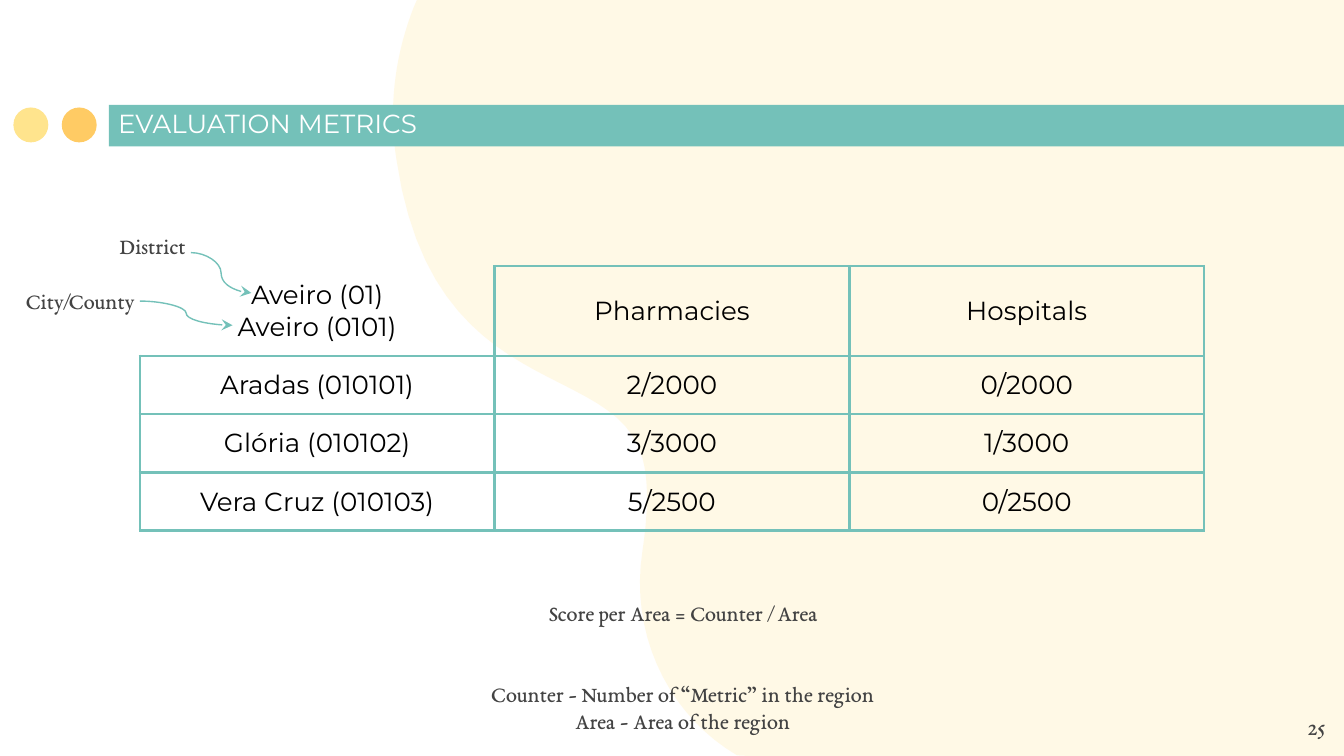
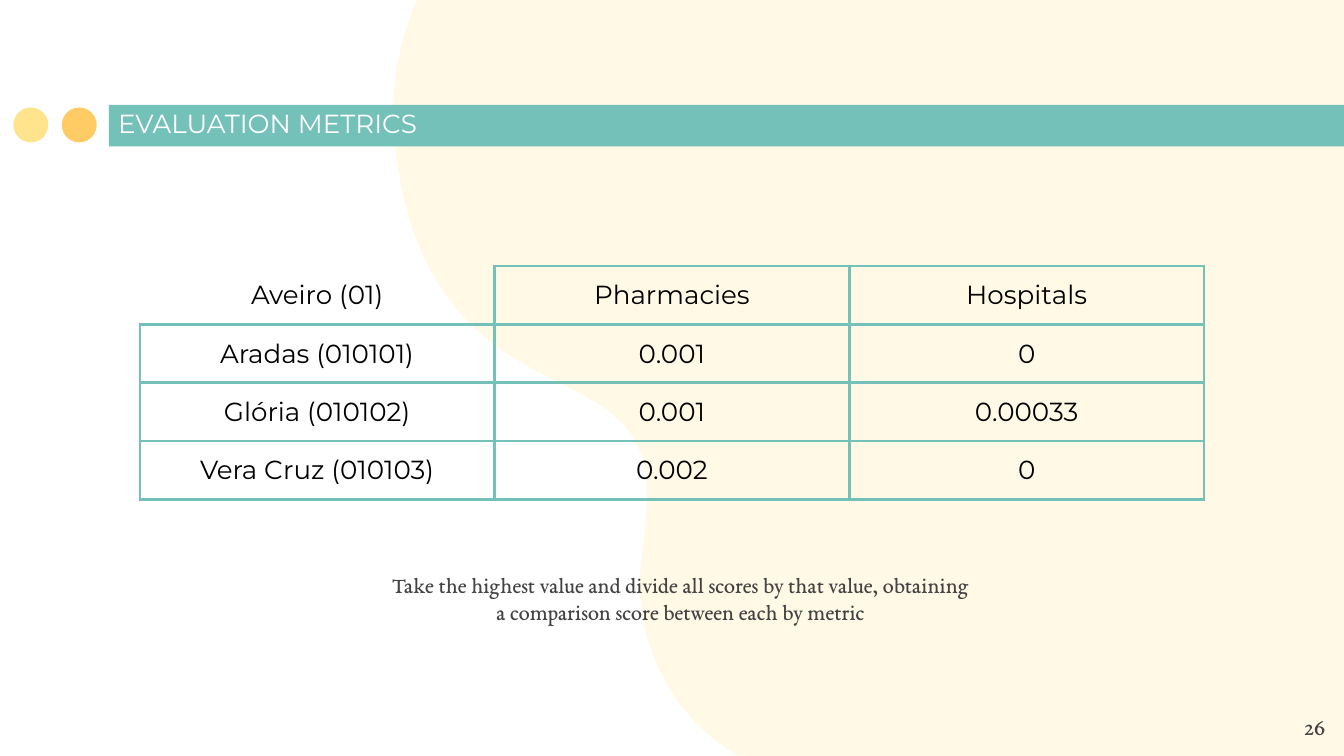
from dataclasses import dataclass
from typing import NamedTuple

from lxml import etree
from pptx import Presentation
from pptx import util as u
from pptx.dml.color import RGBColor
from pptx.enum import shapes, text
from pptx.oxml import ns

COLORS = {
    "teal": "74C1B9",
    "orange": "FFCB64",
    "yellow": "FFE48D",
    "white": "FFFFFF",
    "black": "000000",
    "gray": "434343",
}
SLIDE_W = 10
SLIDE_H = SLIDE_W * 9 / 16
SANS, SERIF = "Montserrat", "EB Garamond"
COLUMN_W, ROW_H = 2.64, 0.42

Point = tuple[float, float]

# Cubic curves of the wave's left edge: two control points and an end point each
WAVE_START: Point = (3.28, -0.35)
WAVE_CURVES: list[tuple[Point, Point, Point]] = [
    ((3.01, 0.09), (2.86, 0.62), (2.95, 1.19)),
    ((3.22, 3.02), (4.58, 2.66), (4.78, 3.41)),
    ((4.83, 3.59), (4.82, 3.83), (4.78, 4.1)),
    ((4.64, 5), (5.31, 5.81), (6.18, 5.81)),
]
CURVE_STEPS = 24


class Box(NamedTuple):
    left: float
    top: float
    width: float
    height: float

    def inches(self) -> list[u.Length]:
        return [u.Inches(value) for value in self]


class Style(NamedTuple):
    font: str
    size: float
    color: str
    align: text.PP_ALIGN = text.PP_ALIGN.CENTER


TITLE = Style(SANS, 14, "white", text.PP_ALIGN.LEFT)
CELL = Style(SANS, 14, "black")
NOTE = Style(SERIF, 12, "gray")
PAGE = Style(SERIF, 13, "gray", text.PP_ALIGN.RIGHT)


@dataclass
class Note:
    box: Box
    lines: list[str]
    anchor: text.MSO_ANCHOR = text.MSO_ANCHOR.TOP


@dataclass
class Arrow:
    start: Point
    end: Point


@dataclass
class MetricSlide:
    page: int
    rows: list[list[str]]
    header_anchor: text.MSO_ANCHOR
    notes: list[Note]
    arrows: list[Arrow]


SLIDES = [
    MetricSlide(
        page=25,
        rows=[
            ["Aveiro (01)\nAveiro (0101)", "Pharmacies", "Hospitals"],
            ["Aradas (010101)", "2/2000", "0/2000"],
            ["Glória (010102)", "3/3000", "1/3000"],
            ["Vera Cruz (010103)", "5/2500", "0/2500"],
        ],
        header_anchor=text.MSO_ANCHOR.MIDDLE,
        notes=[
            Note(Box(0.75, 1.63, 0.77, 0.31), ["District"]),
            Note(Box(0.06, 2.04, 1.07, 0.43), ["City/County"]),
            Note(Box(2.83, 3.95, 4.51, 1.21), ["Score per Area = Counter / Area"],
                 text.MSO_ANCHOR.MIDDLE),
            Note(Box(2.29, 4.96, 5.58, 0.43),
                 ["Counter - Number of “Metric” in the region",
                  "Area - Area of the region"]),
        ],
        arrows=[Arrow((1.42, 1.88), (1.87, 2.18)), Arrow((1.04, 2.24), (1.73, 2.42))],
    ),
    MetricSlide(
        page=26,
        rows=[
            ["Aveiro (01)", "Pharmacies", "Hospitals"],
            ["Aradas (010101)", "0.001", "0"],
            ["Glória (010102)", "0.001", "0.00033"],
            ["Vera Cruz (010103)", "0.002", "0"],
        ],
        header_anchor=text.MSO_ANCHOR.TOP,
        notes=[
            Note(Box(2.81, 4.15, 4.51, 1.21),
                 ["Take the highest value and divide all scores by that value, "
                  "obtaining a comparison score between each by metric"]),
        ],
        arrows=[],
    ),
]


def rgb(name: str) -> RGBColor:
    return RGBColor.from_string(COLORS[name])


def paint(shape, color: str) -> None:
    shape.shadow.inherit = False
    shape.fill.solid()
    shape.fill.fore_color.rgb = rgb(color)
    shape.line.fill.background()


def write(frame, lines: list[str], style: Style) -> None:
    frame.text = "\n".join(lines)
    for paragraph in frame.paragraphs:
        paragraph.alignment = style.align
        paragraph.font.name = style.font
        paragraph.font.size = u.Pt(style.size)
        paragraph.font.color.rgb = rgb(style.color)


def set_insets(holder) -> None:
    """Give a text frame or a table cell equal margins on all sides."""
    holder.margin_left = holder.margin_right = u.Inches(0.1)
    holder.margin_top = holder.margin_bottom = u.Inches(0.1)


def add_text(slide, box: Box, lines: list[str], style: Style,
             anchor: text.MSO_ANCHOR = text.MSO_ANCHOR.TOP) -> None:
    frame = slide.shapes.add_textbox(*box.inches()).text_frame
    frame.word_wrap = True
    frame.vertical_anchor = anchor
    set_insets(frame)
    write(frame, lines, style)


def wave_edge() -> list[Point]:
    """Sample the wave's curves, kept within the slide."""
    points, start = [WAVE_START], WAVE_START
    for first, second, end in WAVE_CURVES:
        for step in range(1, CURVE_STEPS + 1):
            t = step / CURVE_STEPS
            weights = ((1 - t) ** 3, 3 * t * (1 - t) ** 2, 3 * t * t * (1 - t), t ** 3)
            x, y = (sum(w * c for w, c in zip(weights, axis))
                    for axis in zip(start, first, second, end))
            points.append((x, y))
        start = end
    return [(x, min(max(y, 0), SLIDE_H)) for x, y in points]


def add_wave(slide) -> None:
    outline = wave_edge() + [(SLIDE_W, SLIDE_H), (SLIDE_W, 0)]
    corners = [(u.Inches(x), u.Inches(y)) for x, y in outline]
    builder = slide.shapes.build_freeform(*corners[0])
    builder.add_line_segments(corners[1:], close=True)
    wave = builder.convert_to_shape()
    paint(wave, "yellow")
    tint = wave.fill._xPr.find(".//" + ns.qn("a:srgbClr"))
    etree.SubElement(tint, ns.qn("a:alpha"), val="21000")


def add_frame(slide, page: int) -> None:
    """Draw the background, title band and page number every slide shares."""
    add_wave(slide)
    preset = shapes.MSO_SHAPE
    for kind, box, color in (
        (preset.RECTANGLE, Box(0.81, 0.78, SLIDE_W - 0.81, 0.31), "teal"),
        (preset.OVAL, Box(0.46, 0.8, 0.26, 0.26), "orange"),
        (preset.OVAL, Box(0.1, 0.8, 0.26, 0.26), "yellow"),
    ):
        paint(slide.shapes.add_shape(kind, *box.inches()), color)
    add_text(slide, Box(0.78, 0.79, 5.48, 0.34), ["EVALUATION METRICS"], TITLE,
             text.MSO_ANCHOR.BOTTOM)
    add_text(slide, Box(9.36, 5.19, 0.6, 0.43), [str(page)], PAGE)


def set_borders(cell, open_sides: str) -> None:
    """Rule a cell's sides (L, R, T, B), leaving the open ones blank."""
    properties = cell._tc.get_or_add_tcPr()
    for side in "LRTB":
        rule = etree.SubElement(properties, ns.qn(f"a:ln{side}"), w=str(u.Pt(1.5)))
        if side in open_sides:
            etree.SubElement(rule, ns.qn("a:noFill"))
        else:
            fill = etree.SubElement(rule, ns.qn("a:solidFill"))
            etree.SubElement(fill, ns.qn("a:srgbClr"), val=COLORS["teal"])


def add_scores(slide, rows: list[list[str]], header_anchor: text.MSO_ANCHOR) -> None:
    box = Box(1.04, 1.98, COLUMN_W * len(rows[0]), ROW_H * len(rows))
    scores = slide.shapes.add_table(len(rows), len(rows[0]), *box.inches()).table
    scores.first_row = scores.horz_banding = False
    for column in scores.columns:
        column.width = u.Inches(COLUMN_W)
    for r, row in enumerate(rows):
        scores.rows[r].height = u.Inches(ROW_H)
        for c, value in enumerate(row):
            cell = scores.cell(r, c)
            is_header = r == 0 and c > 0
            cell.vertical_anchor = header_anchor if is_header else text.MSO_ANCHOR.TOP
            set_insets(cell)
            set_borders(cell, "LT" if r == c == 0 else "")
            cell.fill.background()
            write(cell.text_frame, [value], CELL)


def add_arrow(slide, arrow: Arrow) -> None:
    ends = [u.Inches(value) for value in (*arrow.start, *arrow.end)]
    pointer = slide.shapes.add_connector(shapes.MSO_CONNECTOR.CURVE, *ends)
    pointer.line.color.rgb = rgb("teal")
    pointer.line.width = u.Pt(0.75)
    etree.SubElement(pointer.line._get_or_add_ln(), ns.qn("a:tailEnd"), type="stealth")
    etree.SubElement(pointer._element.spPr, ns.qn("a:effectLst"))


def main() -> None:
    deck = Presentation()
    deck.slide_width, deck.slide_height = u.Inches(SLIDE_W), u.Inches(SLIDE_H)
    for content in SLIDES:
        slide = deck.slides.add_slide(deck.slide_layouts[6])
        add_frame(slide, content.page)
        add_scores(slide, content.rows, content.header_anchor)
        for note in content.notes:
            add_text(slide, note.box, note.lines, NOTE, note.anchor)
        for arrow in content.arrows:
            add_arrow(slide, arrow)
    deck.save("out.pptx")


if __name__ == "__main__":
    main()
